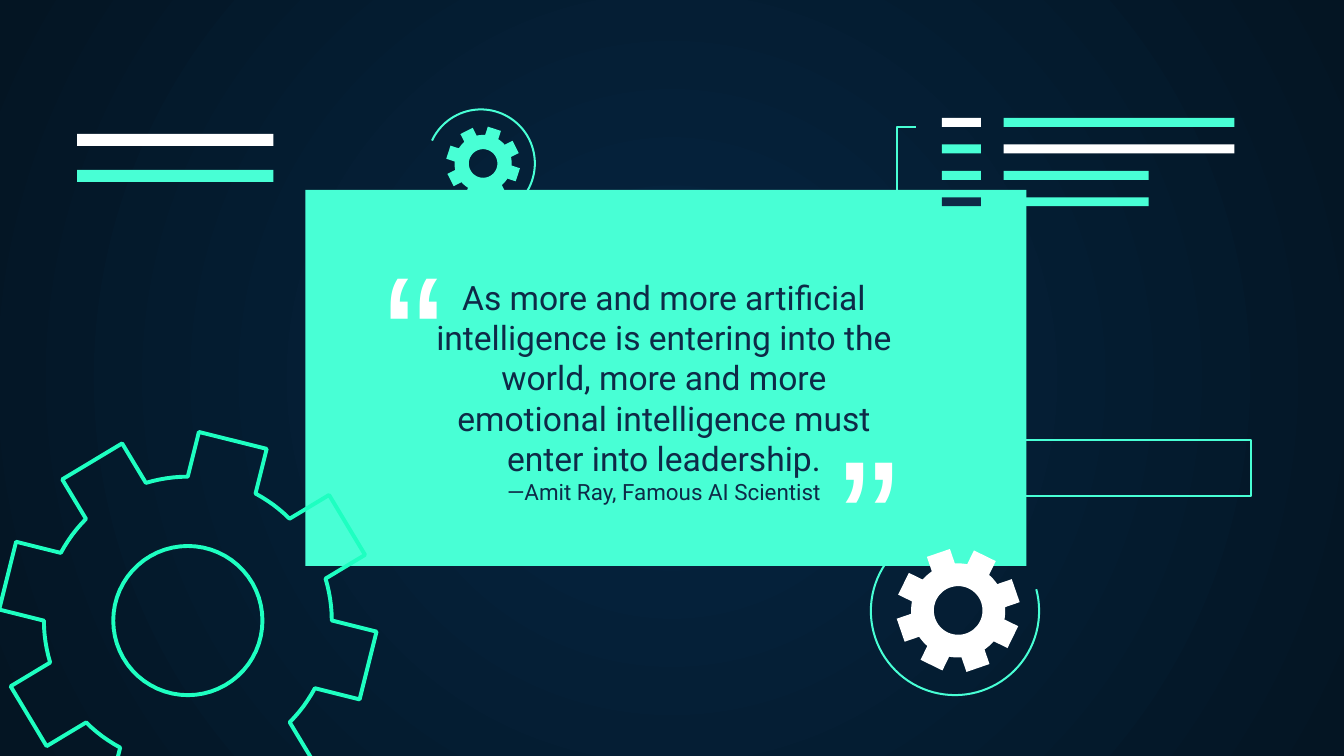
from math import cos, pi, radians, sin, asin

from lxml import etree
from pptx import Presentation
from pptx.dml.color import RGBColor
from pptx.enum.shapes import MSO_SHAPE
from pptx.enum.text import MSO_ANCHOR, PP_ALIGN
from pptx.oxml.ns import qn
from pptx.util import Cm, Pt

RECTANGLE, ARC = MSO_SHAPE.RECTANGLE, MSO_SHAPE.ARC
TOP, BOTTOM = MSO_ANCHOR.TOP, MSO_ANCHOR.BOTTOM
LEFT, CENTER = PP_ALIGN.LEFT, PP_ALIGN.CENTER

MINT, BRIGHT_MINT, WHITE, NAVY = "48FFD5", "1EFFC1", "FFFFFF", "0E2A47"
BACKDROP = [("052643", 0), ("041523", 1)]
THIN, THICK = 1.09, 2.1

# All lengths are centimetres; boxes are left, top, width, height.
QUOTE = ("As more and more artificial intelligence is entering into the world, "
         "more and more emotional intelligence must enter into leadership.")
AUTHOR = "—Amit Ray, Famous AI Scientist"
CARD = (5.77, 3.59, 13.63, 7.11)
FRAME = (18.29, 8.32, 5.36, 1.06)
BRACKET = [(17.33, 3.95), (16.95, 3.95), (16.95, 2.41), (17.32, 2.41)]

# centre, radius, start and end angle
RINGS = [((9.09, 3.09), 1.02, 205, 93), ((18.05, 11.55), 1.59, 345, 233)]

# centre, tip radius, root radius, half tooth width, hub radius, turn, fill, line
TEETH = 8
GEARS = [
    ((3.55, 11.73), 3.51, 2.72, 0.66, 1.41, 14, None, BRIGHT_MINT),
    ((18.11, 11.54), 1.15, 0.89, 0.23, 0.46, 26, WHITE, None),
    ((9.13, 3.09), 0.69, 0.54, 0.13, 0.27, 18, MINT, None),
]

# label colour, line colour, line width
CODE_ROWS = [(WHITE, MINT, 4.36), (MINT, WHITE, 4.36),
             (MINT, MINT, 2.74), (NAVY, MINT, 2.74)]
LABEL_X, LINE_X, CODE_TOP, CODE_PITCH = 17.8, 18.97, 2.23, 0.5
LABEL_WIDTH, CODE_HEIGHT = 0.74, 0.17
SIDE_BARS = [WHITE, MINT]
SIDE_X, SIDE_TOP, SIDE_PITCH, SIDE_WIDTH, SIDE_HEIGHT = 1.46, 2.53, 0.68, 3.71, 0.23

# text, box, size, font, colour, alignment, anchor, top inset
TEXTS = [
    ("“", (7.01, 4.09, 2.49, 4.36), 96, "Arial", WHITE, LEFT, TOP, 0.13),
    (AUTHOR, (7.65, 4.42, 9.8, 5.38), 12, "Roboto", NAVY, CENTER, BOTTOM, 0.25),
    (QUOTE, (7.75, 4.98, 9.6, 3.94), 18, "Roboto", NAVY, CENTER, TOP, 0.25),
    ("”", (15.62, 7.57, 2.49, 4.36), 96, "Arial", WHITE, LEFT, TOP, 0.13),
]


def color(value):
    return RGBColor.from_string(value)


def paint(shape, fill=None, line=None, width=THIN):
    shape.shadow.inherit = False
    if fill:
        shape.fill.solid()
        shape.fill.fore_color.rgb = color(fill)
    else:
        shape.fill.background()
    if line:
        shape.line.color.rgb = color(line)
        shape.line.width = Pt(width)
    else:
        shape.line.fill.background()


def add_preset(kind, box, **look):
    shape = slide.shapes.add_shape(kind, *map(Cm, box))
    paint(shape, **look)
    return shape


def add_outline(contours, closed, **look):
    builder = None
    for contour in contours:
        first, *rest = [(Cm(x), Cm(y)) for x, y in contour]
        if builder is None:
            builder = slide.shapes.build_freeform(*first)
        else:
            builder.move_to(*first)
        builder.add_line_segments(rest, close=closed)
    paint(builder.convert_to_shape(), **look)


def arc_points(center, radius, start, end, steps):
    angles = [start + (end - start) * i / steps for i in range(steps + 1)]
    return [(center[0] + radius * cos(a), center[1] + radius * sin(a)) for a in angles]


def gear_contours(center, tip, root, half, hub, turn):
    """Straight-sided teeth joined by arcs at the root, and a round hub."""
    pitch = 2 * pi / TEETH
    root_angle = asin(half / root)
    body = []
    for tooth in range(TEETH):
        axis = radians(turn) + tooth * pitch
        for side in (-half, half):
            body.append((center[0] + tip * cos(axis) - side * sin(axis),
                         center[1] + tip * sin(axis) + side * cos(axis)))
        body += arc_points(center, root, axis + root_angle, axis + pitch - root_angle, 6)
    return [body, arc_points(center, hub, 0, 2 * pi, 60)[:-1]]


def add_text(text, box, size, font, text_color, align, anchor, inset):
    frame = slide.shapes.add_textbox(*map(Cm, box)).text_frame
    frame.word_wrap = True
    frame.vertical_anchor = anchor
    frame.margin_left = frame.margin_right = Cm(0.25)
    frame.margin_top = frame.margin_bottom = Cm(inset)
    paragraph = frame.paragraphs[0]
    paragraph.text = text
    paragraph.alignment = align
    paragraph.font.size = Pt(size)
    paragraph.font.name = font
    paragraph.font.color.rgb = color(text_color)


def set_radial_background():
    fill = slide.background.fill
    fill.gradient()
    for stop, (shade, position) in zip(fill.gradient_stops, BACKDROP):
        stop.color.rgb = color(shade)
        stop.position = position
    gradient = slide.element.find(".//" + qn("a:gradFill"))
    gradient.remove(gradient.find(qn("a:lin")))
    radial = etree.SubElement(gradient, qn("a:path"), {"path": "circle"})
    etree.SubElement(radial, qn("a:fillToRect"), dict.fromkeys("ltrb", "50000"))


presentation = Presentation()
presentation.slide_width, presentation.slide_height = Cm(25.4), Cm(14.29)
slide = presentation.slides.add_slide(presentation.slide_layouts[6])
set_radial_background()

add_preset(RECTANGLE, CARD, fill=MINT)
add_text(*TEXTS[0])

for (x, y), radius, start, end in RINGS:
    ring = add_preset(ARC, (x - radius, y - radius, 2 * radius, 2 * radius), line=MINT)
    # An arc angle is stored in 60000ths of a degree, an adjustment in 100000ths.
    ring.adjustments[0], ring.adjustments[1] = start * 0.6, end * 0.6

for *geometry, fill, line in GEARS:
    add_outline(gear_contours(*geometry), True, fill=fill, line=line, width=THICK)

for row, (label, code, width) in enumerate(CODE_ROWS):
    y = CODE_TOP + row * CODE_PITCH
    add_preset(RECTANGLE, (LABEL_X, y, LABEL_WIDTH, CODE_HEIGHT), fill=label)
    add_preset(RECTANGLE, (LINE_X, y, width, CODE_HEIGHT), fill=code)

add_outline([BRACKET], False, line=MINT)

for row, bar in enumerate(SIDE_BARS):
    y = SIDE_TOP + row * SIDE_PITCH
    add_preset(RECTANGLE, (SIDE_X, y, SIDE_WIDTH, SIDE_HEIGHT), fill=bar)

add_preset(RECTANGLE, FRAME, line=MINT)

for text in TEXTS[1:]:
    add_text(*text)

presentation.save("out.pptx")
